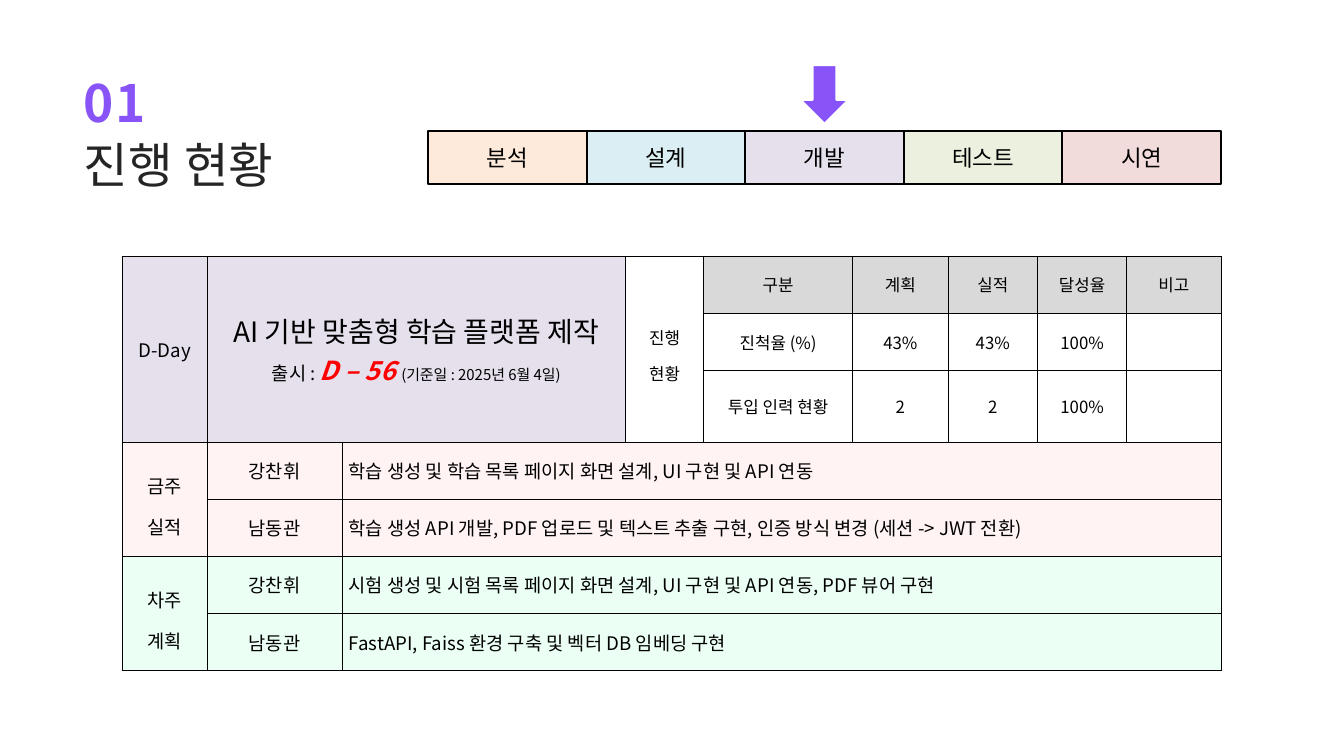
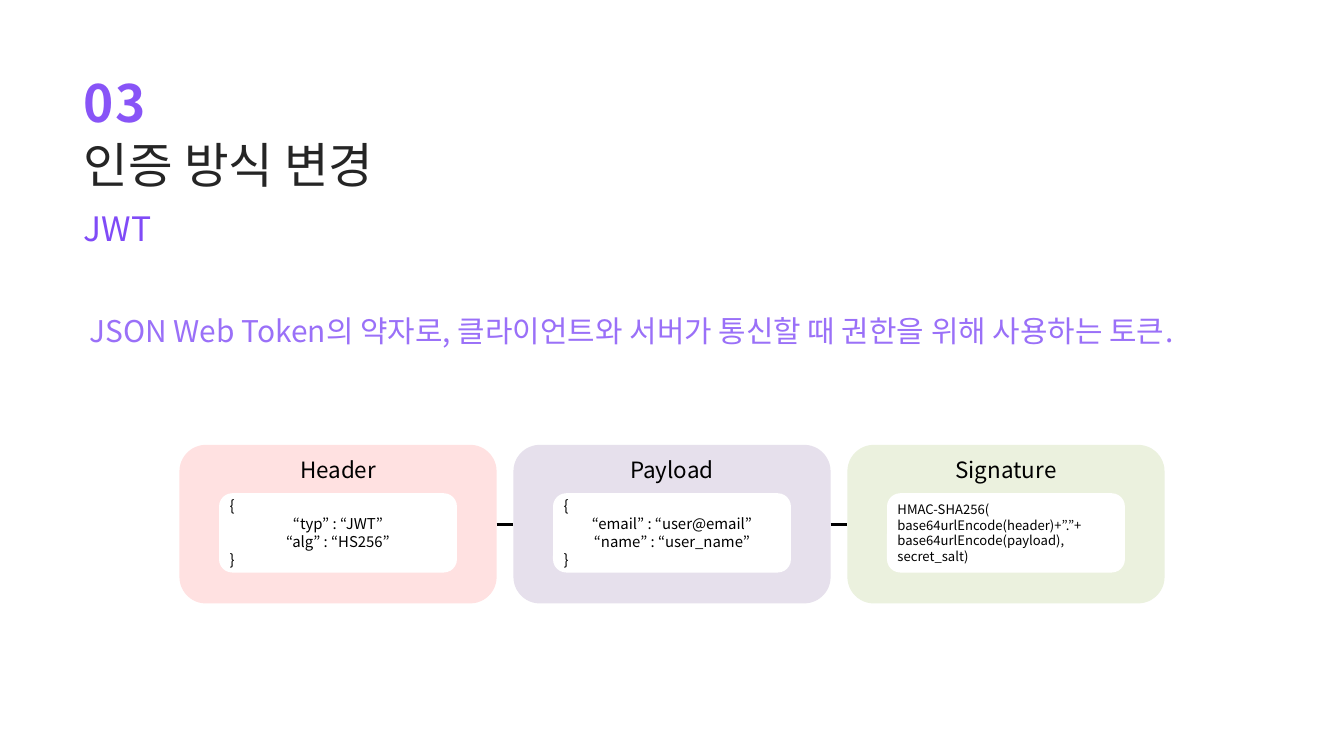
from dataclasses import dataclass

from lxml import etree
from pptx import Presentation
from pptx import util as u
from pptx.dml.color import RGBColor
from pptx.enum import shapes, text
from pptx.oxml.ns import qn

LEFT, CENTER = text.PP_ALIGN.LEFT, text.PP_ALIGN.CENTER


@dataclass(frozen=True)
class Theme:
    """Colours and type sizes shared by the slides."""
    font: str = "Noto Sans CJK KR"
    violet: str = "8854F7"
    deep_violet: str = "804BF7"
    light_violet: str = "9A70F8"
    ink: str = "252525"
    black: str = "000000"
    white: str = "FFFFFF"
    red: str = "FF0000"
    gray: str = "D9D9D9"
    peach: str = "FDEADA"
    sky: str = "DBEEF4"
    lavender: str = "E6E0EC"
    sage: str = "EBF1DE"
    rose: str = "F2DCDB"
    pink: str = "FFE1E1"
    pale_pink: str = "FFF3F3"
    mint: str = "EBFFF4"
    number: int = 55
    title: int = 52
    subtitle: int = 36
    lead: int = 32
    project: int = 30
    countdown: int = 28
    label: int = 24
    body: int = 20
    figure: int = 18
    note: int = 16
    small: int = 14


THEME = Theme()
COLUMNS, ROWS = 20, 11.25
CELL = u.Inches(1)


@dataclass(frozen=True)
class Box:
    """A rectangle measured in columns and rows of the slide grid."""
    left: float
    top: float
    width: float
    height: float

    def share(self, left, top, width, height):
        """Return an inner box given as shares of this one."""
        return Box(self.left + left * self.width, self.top + top * self.height,
                   width * self.width, height * self.height)

    def columns(self, count, gap=0):
        """Return equal boxes side by side with a gap between them."""
        width = (self.width - gap * (count - 1)) / count
        return [Box(self.left + i * (width + gap), self.top, width, self.height)
                for i in range(count)]

    def place(self):
        """Return left, top, width and height as slide lengths."""
        return [u.Emu(round(value * CELL))
                for value in (self.left, self.top, self.width, self.height)]


def rgb(color):
    """Turn a hex string into a colour."""
    return RGBColor.from_string(color)


def write(frame, content, size=THEME.body, color=THEME.black, bold=False, italic=False,
          align=LEFT, spacing=None, tracking=None, same_line=False):
    """Add text to a frame as a paragraph, or to the last paragraph."""
    paragraph = frame.paragraphs[-1]
    if paragraph.runs and not same_line:
        paragraph = frame.add_paragraph()
    paragraph.alignment = align
    if spacing:
        paragraph.line_spacing = spacing
    for index, line in enumerate(content.split("\n")):
        if index:
            paragraph.add_line_break()
        run = paragraph.add_run()
        run.text = line
        font = run.font
        font.name, font.size = THEME.font, u.Pt(size)
        font.bold, font.italic = bold, italic
        font.color.rgb = rgb(color)
        properties = run._r.get_or_add_rPr()
        etree.SubElement(properties, qn("a:ea")).set("typeface", THEME.font)
        if tracking:
            properties.set("spc", str(round(tracking * 100)))


def add_text(slide, box, content, anchor=text.MSO_ANCHOR.TOP, inset=0, **style):
    """Add a wrapping text box that grows with its text."""
    frame = slide.shapes.add_textbox(*box.place()).text_frame
    frame.word_wrap = True
    frame.auto_size = text.MSO_AUTO_SIZE.SHAPE_TO_FIT_TEXT
    frame.vertical_anchor = anchor
    frame.margin_left = frame.margin_right = u.Inches(inset)
    frame.margin_top = frame.margin_bottom = u.Inches(inset / 2)
    write(frame, content, **style)


def add_panel(slide, kind, box, fill, line=None):
    """Add a flat filled shape and return its text frame."""
    shape = slide.shapes.add_shape(kind, *box.place())
    shape.shadow.inherit = False
    shape.fill.solid()
    shape.fill.fore_color.rgb = rgb(fill)
    if line:
        shape.line.color.rgb = rgb(line)
        shape.line.width = u.Pt(2)
    else:
        shape.line.fill.background()
    shape.text_frame.vertical_anchor = text.MSO_ANCHOR.MIDDLE
    return shape.text_frame


def add_heading(slide, box, number, title):
    """Add the section number above the slide title."""
    add_text(slide, box.share(0, 0, 0.26, 0.6), number, size=THEME.number,
             color=THEME.violet, bold=True, tracking=1.3, spacing=u.Pt(110))
    add_text(slide, box.share(0, 0.43, 1, 0.57), title, size=THEME.title,
             color=THEME.ink, spacing=u.Pt(104))


def add_phases(slide, box, phases, current):
    """Add the row of phases and the arrow above the current one."""
    for (name, fill), cell in zip(phases, box.columns(len(phases))):
        frame = add_panel(slide, shapes.MSO_SHAPE.RECTANGLE, cell, fill, THEME.black)
        write(frame, name, size=THEME.label, align=CENTER)
        if name == current:
            add_panel(slide, shapes.MSO_SHAPE.DOWN_ARROW,
                      cell.share(0.35, -1.24, 0.3, 1.1), THEME.violet, THEME.white)


def style_cell(cell, fill):
    """Give a table cell thin black borders and a fill."""
    properties = cell._tc.get_or_add_tcPr()
    for side in ("lnL", "lnR", "lnT", "lnB"):
        line = etree.SubElement(properties, qn("a:" + side), w=str(u.Pt(1)))
        solid = etree.SubElement(line, qn("a:solidFill"))
        etree.SubElement(solid, qn("a:srgbClr"), val=THEME.black)
    cell.fill.solid()
    cell.fill.fore_color.rgb = rgb(fill)
    cell.vertical_anchor = text.MSO_ANCHOR.MIDDLE


def add_status_table(slide, box, widths, heights, figures, weeks):
    """Add the table of countdown, progress figures and weekly work."""
    table = slide.shapes.add_table(len(heights), len(widths), *box.place()).table
    table.first_row = table.horz_banding = False
    for column, width in zip(table.columns, widths):
        column.width = u.Inches(width)
    for row, height in zip(table.rows, heights):
        row.height = u.Inches(height)

    def fill_cell(row, column, content="", fill=THEME.white, rows=1, columns=1,
                  align=CENTER, **style):
        """Fill one cell or merged block and return its text frame."""
        for r in range(row, row + rows):
            for c in range(column, column + columns):
                style_cell(table.cell(r, c), fill)
        origin = table.cell(row, column)
        if rows * columns > 1:
            origin.merge(table.cell(row + rows - 1, column + columns - 1))
        if content:
            write(origin.text_frame, content, align=align, **style)
        return origin.text_frame

    depth = len(figures)
    fill_cell(0, 0, "D-Day", THEME.lavender, rows=depth)
    project = fill_cell(0, 1, "AI 기반 맞춤형 학습 플랫폼 제작", THEME.lavender,
                        rows=depth, columns=2, size=THEME.project)
    write(project, "출시 : ", align=CENTER)
    write(project, "D – 56 ", size=THEME.countdown, color=THEME.red, bold=True,
          italic=True, align=CENTER, same_line=True)
    write(project, "(기준일 : 2025년 6월 4일)", size=THEME.note, align=CENTER, same_line=True)
    fill_cell(0, 3, "진행\n현황", rows=depth, size=THEME.figure, spacing=1.5)
    for row, values in enumerate(figures):
        for column, value in enumerate(values, 4):
            fill_cell(row, column, value, THEME.white if row else THEME.gray,
                      size=THEME.figure)
    row = depth
    for name, fill, tasks in weeks:
        fill_cell(row, 0, name, fill, rows=len(tasks), spacing=1.5)
        for person, task in tasks:
            fill_cell(row, 1, person, fill)
            fill_cell(row, 2, task, fill, columns=len(widths) - 2, align=LEFT)
            row += 1


def add_token_card(slide, box, name, fill, lines, size):
    """Add one card with its name and a white code panel."""
    add_panel(slide, shapes.MSO_SHAPE.ROUNDED_RECTANGLE, box, fill)
    add_text(slide, box.share(0.28, 0.05, 0.44, 0.21), name, inset=0.1,
             anchor=text.MSO_ANCHOR.MIDDLE, size=THEME.label, align=CENTER)
    code = add_panel(slide, shapes.MSO_SHAPE.ROUNDED_RECTANGLE,
                     box.share(0.125, 0.305, 0.75, 0.5), THEME.white)
    for line in lines:
        write(code, line, size=size, align=CENTER if line.startswith("“") else LEFT)


def add_token(slide, box, sections, gap):
    """Add the cards of the token joined by short lines."""
    cards = box.columns(len(sections), gap)
    for card, section in zip(cards, sections):
        add_token_card(slide, card, *section)
    for card in cards[:-1]:
        left, top, width, _ = card.share(1, 0.5, gap / card.width, 0).place()
        joint = slide.shapes.add_connector(shapes.MSO_CONNECTOR.STRAIGHT,
                                           left, top, left + width, top)
        joint.line.color.rgb = rgb(THEME.black)
        joint.line.width = u.Pt(3)
        etree.SubElement(joint._element.spPr, qn("a:effectLst"))


HEADING = Box(1.25, 0.45, 5.8, 2.29)


def build_progress(slide):
    """Build the project progress slide."""
    add_heading(slide, HEADING, "01", "진행 현황")
    add_phases(slide, Box(6.37, 1.95, 11.8, 0.79), [
        ("분석", THEME.peach), ("설계", THEME.sky), ("개발", THEME.lavender),
        ("테스트", THEME.sage), ("시연", THEME.rose)], "개발")
    figures = [("구분", "계획", "실적", "달성율", "비고"),
               ("진척율 (%)", "43%", "43%", "100%", ""),
               ("투입 인력 현황", "2", "2", "100%", "")]
    weeks = [
        ("금주\n실적", THEME.pale_pink, [
            ("강찬휘", "학습 생성 및 학습 목록 페이지 화면 설계, UI 구현 및 API 연동"),
            ("남동관", "학습 생성 API 개발, PDF 업로드 및 텍스트 추출 구현, "
                    "인증 방식 변경 (세션 -> JWT 전환)")]),
        ("차주\n계획", THEME.mint, [
            ("강찬휘", "시험 생성 및 시험 목록 페이지 화면 설계, UI 구현 및 API 연동, PDF 뷰어 구현"),
            ("남동관", "FastAPI, Faiss 환경 구축 및 벡터 DB 임베딩 구현")])]
    add_status_table(slide, Box(1.82, 3.81, 16.35, 6.01),
                     [1.26, 2.01, 4.22, 1.16, 2.22, 1.42, 1.33, 1.33, 1.4],
                     [0.85, 0.85, 0.91] + [0.85] * 4, figures, weeks)


def build_authentication(slide):
    """Build the slide on the change of authentication."""
    add_heading(slide, HEADING, "03", "인증 방식 변경")
    add_text(slide, Box(1.25, 3.22, 11, 0.49), "JWT", anchor=text.MSO_ANCHOR.MIDDLE,
             size=THEME.subtitle, color=THEME.deep_violet, spacing=u.Pt(32.1))
    add_text(slide, Box(1.33, 4.38, 16.25, 1.55),
             "JSON Web Token의 약자로, 클라이언트와 서버가 통신할 때 권한을 위해 사용하는 토큰.",
             size=THEME.lead, color=THEME.light_violet, spacing=1.5)
    add_token(slide, Box(2.67, 6.62, 14.66, 2.36), [
        ("Header", THEME.pink,
         ["{", "“typ” : “JWT”", "“alg” : “HS256”", "}"], THEME.note),
        ("Payload", THEME.lavender,
         ["{", "“email” : “user@email”", "“name” : “user_name”", "}"], THEME.note),
        ("Signature", THEME.sage,
         ["HMAC-SHA256(", "base64urlEncode(header)+”.”+",
          "base64urlEncode(payload), secret_salt)"], THEME.small)], gap=0.25)


def main():
    """Build and save the presentation."""
    presentation = Presentation()
    presentation.slide_width = u.Emu(round(COLUMNS * CELL))
    presentation.slide_height = u.Emu(round(ROWS * CELL))
    for build in (build_progress, build_authentication):
        build(presentation.slides.add_slide(presentation.slide_layouts[6]))
    presentation.save("out.pptx")


if __name__ == "__main__":
    main()
